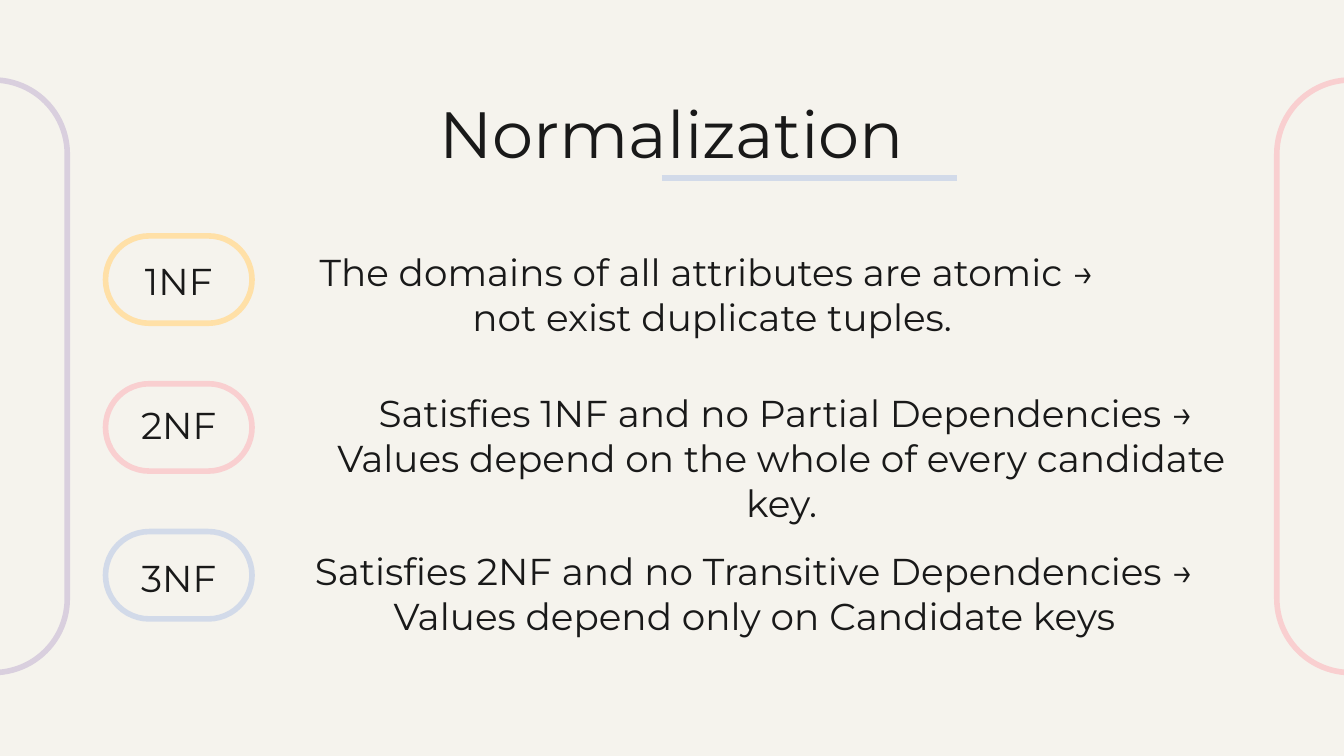
from lxml.etree import SubElement
from pptx import Presentation
from pptx.dml.color import RGBColor
from pptx.enum.shapes import MSO_CONNECTOR, MSO_SHAPE
from pptx.enum.text import MSO_ANCHOR, PP_ALIGN
from pptx.oxml.ns import qn
from pptx.util import Pt

PX = 4572
WIDTH, HEIGHT = 2000, 1125
INSET = 20
FONT = "Montserrat"

CREAM = RGBColor(0xF5, 0xF3, 0xED)
INK = RGBColor(0x19, 0x19, 0x19)
LILAC = RGBColor(0xD9, 0xCF, 0xDE)
PINK = RGBColor(0xF9, 0xCF, 0xD0)
YELLOW = RGBColor(0xFF, 0xE0, 0xA7)
BLUE = RGBColor(0xD2, 0xDA, 0xE9)

ROW_LEFT, ROW_TOP, ROW_PITCH = 157, 351, 220
PILL_WIDTH, PILL_HEIGHT = 218, 130
LABEL_LEFT, LABEL_WIDTH = 32, 154

NORMAL_FORMS = [
    ("1NF", YELLOW, 13, (255, 0, 1296),
     ["The domains of all attributes are atomic → ",
      "not exist duplicate tuples."]),
    ("2NF", PINK, 8, (278, -10, 1456),
     [" Satisfies 1NF and no Partial Dependencies → "
      "Values depend on the whole of every candidate key."]),
    ("3NF", BLUE, 15, (238, 5, 1456),
     ["Satisfies 2NF and no Transitive Dependencies →",
      "Values depend only on Candidate keys"]),
]


def px(*lengths):
    """Turn lengths in px into EMU."""
    return [length * PX for length in lengths]


def add_pill(slide, box, color, rotation=0):
    """Draw an unfilled, fully rounded outline in the box."""
    pill = slide.shapes.add_shape(MSO_SHAPE.ROUNDED_RECTANGLE, *px(*box))
    pill.adjustments[0] = 0.5
    pill.rotation = rotation
    pill.shadow.inherit = False
    pill.fill.background()
    pill.line.color.rgb = color
    pill.line.width = Pt(3)


def add_centred_text(slide, box, paragraphs, size):
    """Write centred paragraphs from the top of the box."""
    frame = slide.shapes.add_textbox(*px(*box)).text_frame
    frame.word_wrap = True
    frame.vertical_anchor = MSO_ANCHOR.TOP
    frame.margin_left = frame.margin_right = INSET * PX
    frame.margin_top = frame.margin_bottom = INSET * PX
    for index, wording in enumerate(paragraphs):
        paragraph = frame.add_paragraph() if index else frame.paragraphs[0]
        paragraph.alignment = PP_ALIGN.CENTER
        run = paragraph.add_run()
        run.text = wording
        run.font.name = FONT
        run.font.size = Pt(size)
        run.font.color.rgb = INK


def add_side_frames(slide, left, top, length, thickness, gap):
    """Draw the two upright outlines that run off the slide edges."""
    for index, color in enumerate((LILAC, PINK)):
        add_pill(slide, (left + index * gap, top, length, thickness), color, 90)


def add_heading(slide, left, top, width, height):
    """Write the heading and its underline."""
    add_centred_text(slide, (left, top, width, height), ["Normalization"], 35)
    underline = slide.shapes.add_connector(
        MSO_CONNECTOR.STRAIGHT,
        *px(left + 828, top + 146, left + 1267, top + 146))
    underline.line.color.rgb = BLUE
    underline.line.width = Pt(3)
    SubElement(underline._element.spPr, qn("a:effectLst"))


def add_normal_form(slide, left, top, normal_form):
    """Draw one row: outlined label and its definition."""
    label, color, label_drop, definition_box, definition = normal_form
    definition_left, definition_drop, definition_width = definition_box
    add_pill(slide, (left, top, PILL_WIDTH, PILL_HEIGHT), color)
    add_centred_text(
        slide,
        (left + LABEL_LEFT, top + label_drop, LABEL_WIDTH, PILL_HEIGHT),
        [label], 20)
    add_centred_text(
        slide,
        (left + definition_left, top + definition_drop,
         definition_width, PILL_HEIGHT),
        definition, 20)


def main():
    """Build the slide and save it."""
    deck = Presentation()
    deck.slide_width, deck.slide_height = px(WIDTH, HEIGHT)
    slide = deck.slides.add_slide(deck.slide_layouts[6])
    slide.background.fill.solid()
    slide.background.fill.fore_color.rgb = CREAM
    add_side_frames(slide, -451, 450, 882, 220, 2020)
    add_heading(slide, 157, 119, 1686, 126)
    for row, normal_form in enumerate(NORMAL_FORMS):
        add_normal_form(slide, ROW_LEFT, ROW_TOP + row * ROW_PITCH, normal_form)
    deck.save("out.pptx")


if __name__ == "__main__":
    main()
